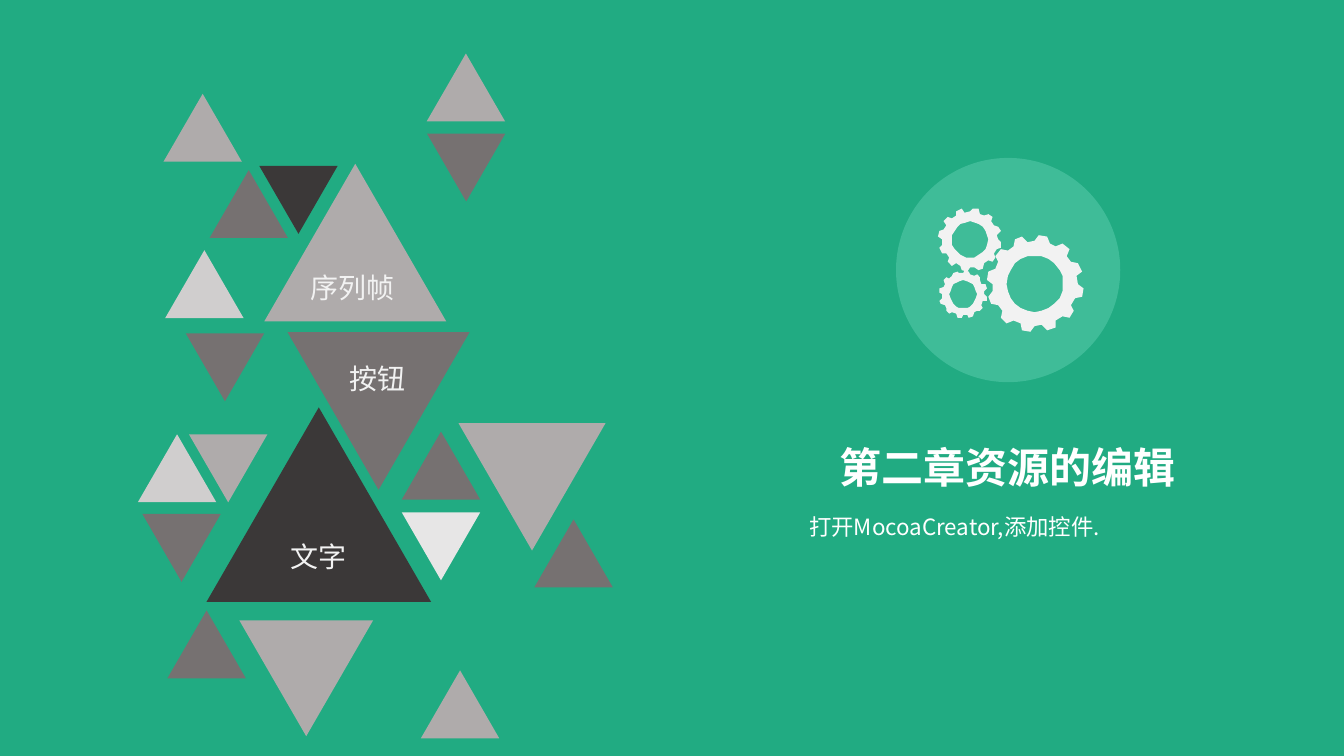
from math import cos, radians, sin, sqrt
from lxml.etree import SubElement
from pptx import Presentation
from pptx.dml.color import RGBColor
from pptx.enum.shapes import MSO_SHAPE as Shape
from pptx.enum.text import MSO_ANCHOR as Anchor, MSO_AUTO_SIZE as Fit, PP_ALIGN as Align
from pptx.oxml.ns import qn
from pptx.util import Pt

FONT = "Noto Sans CJK SC"
GREEN = RGBColor(0x21, 0xAB, 0x82)
MINT = RGBColor(0x5D, 0xCE, 0xAF)
WHITE = RGBColor(0xFF, 0xFF, 0xFF)
PALE = RGBColor(0xF2, 0xF2, 0xF2)
MIST = RGBColor(0xE7, 0xE6, 0xE6)
LIGHT = RGBColor(0xD0, 0xCE, 0xCE)
GREY = RGBColor(0xAF, 0xAB, 0xAB)
DARK = RGBColor(0x76, 0x71, 0x71)
BLACK = RGBColor(0x3B, 0x38, 0x38)


def paint(shape, color):
    shape.shadow.inherit = False
    shape.fill.solid()
    shape.fill.fore_color.rgb = color
    shape.line.fill.background()


def write(box, text, size, color, align, bold=False, wrap=False):
    frame = box.text_frame
    frame.text = text
    frame.word_wrap = wrap
    frame.auto_size = Fit.SHAPE_TO_FIT_TEXT
    frame.vertical_anchor = Anchor.TOP
    para = frame.paragraphs[0]
    para.alignment = align
    font = para.font
    font.name, font.size, font.bold = FONT, Pt(size), bold
    font.color.rgb = color
    props = para.runs[0].font._element
    SubElement(props, qn("a:ea")).set("typeface", FONT)
    return para


deck = Presentation()
deck.slide_width, deck.slide_height = Pt(960), Pt(540)
slide = deck.slides.add_slide(deck.slide_layouts[5])
slide.background.fill.solid()
slide.background.fill.fore_color.rgb = GREEN
shapes = slide.shapes

title = shapes.title
title.left, title.top, title.width, title.height = Pt(589.5), Pt(311.8), Pt(260), Pt(46)
write(title, "第二章资源的编辑", 30, WHITE, Align.CENTER, bold=True)

disc = shapes.add_shape(Shape.OVAL, Pt(640), Pt(112.8), Pt(160.2), Pt(160.2))
paint(disc, MINT)
tint = disc.fill._xPr.find(qn("a:solidFill"))[0]
SubElement(tint, qn("a:alpha")).set("val", "50000")

gears = [(739.2, 202.6, 34.5, 20), (692.9, 171.2, 22.5, 13), (688, 210.2, 17.2, 9.8)]
for x, y, size, hole in gears:
    rim = [
        (tooth + side, size * reach)
        for tooth in range(10, 370, 30)
        for side, reach in ((-10, 0.88), (-5, 1), (5, 1), (10, 0.88))
    ]
    ring = [(deg, hole) for deg in range(0, 360, 15)]
    rim, ring = [
        [(x + r * cos(radians(deg)), y + r * sin(radians(deg))) for deg, r in loop]
        for loop in (rim, ring)
    ]
    pen = shapes.build_freeform(*rim[0], scale=Pt(1))
    pen.add_line_segments(rim[1:], close=True)
    pen.move_to(*ring[0])
    pen.add_line_segments(ring[1:], close=True)
    paint(pen.convert_to_shape(), PALE)

SMALL = 56
tiles = [
    (118, 178.7, SMALL, 0, LIGHT),
    (304.8, 38.2, SMALL, 0, GREY),
    (139.7, 226, SMALL, 60, DARK),
    (205.4, 237.3, 130, 180, DARK),
    (147.5, 291, 160.5, 0, BLACK),
    (119.6, 436, SMALL, 0, DARK),
    (98.5, 310.2, SMALL, 0, LIGHT),
    (116.8, 67, SMALL, 0, GREY),
    (149.7, 121.5, SMALL, 0, DARK),
    (192.2, 106.4, SMALL, 60, BLACK),
    (312, 83.3, SMALL, 60, DARK),
    (108.7, 355, SMALL, 60, DARK),
    (327.5, 302.3, 105, 180, GREY),
    (287, 308.3, SMALL, 0, DARK),
    (287, 366, SMALL, 180, MIST),
    (142, 298.2, SMALL, 60, GREY),
    (182.9, 422.5, 95.5, 60, GREY),
    (381.7, 371, SMALL, 0, DARK),
    (188.8, 117, 130, 0, GREY),
    (307.6, 491, SMALL, 120, GREY),
]
for x, y, side, turn, color in tiles:
    tile = shapes.add_shape(Shape.ISOSCELES_TRIANGLE, Pt(x), Pt(y), Pt(side), Pt(side * sqrt(3) / 2))
    tile.rotation = turn
    paint(tile, color)

for text, x, y, width in (
    ("序列帧", 212, 189.5, 80),
    ("按钮", 240, 254.5, 60),
    ("文字", 197.2, 381.5, 60),
):
    box = shapes.add_textbox(Pt(x), Pt(y), Pt(width), Pt(33))
    write(box, text, 20, PALE, Align.CENTER)

note = shapes.add_textbox(Pt(570.2), Pt(357), Pt(318), Pt(32.4))
note.text_frame.margin_left = note.text_frame.margin_right = Pt(7.92)
para = write(note, "打开MocoaCreator,添加控件.", 16, WHITE, Align.LEFT, wrap=True)
para.line_spacing = 1.3

deck.save("out.pptx")
